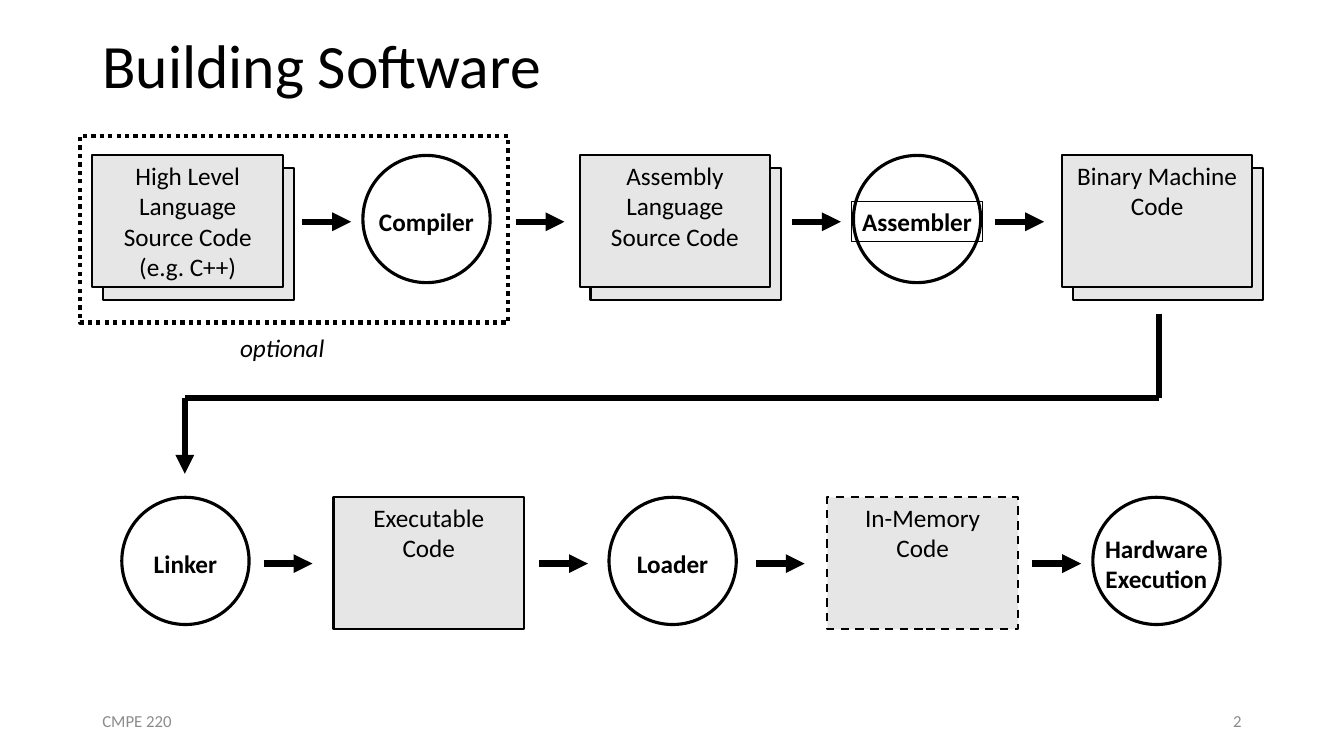
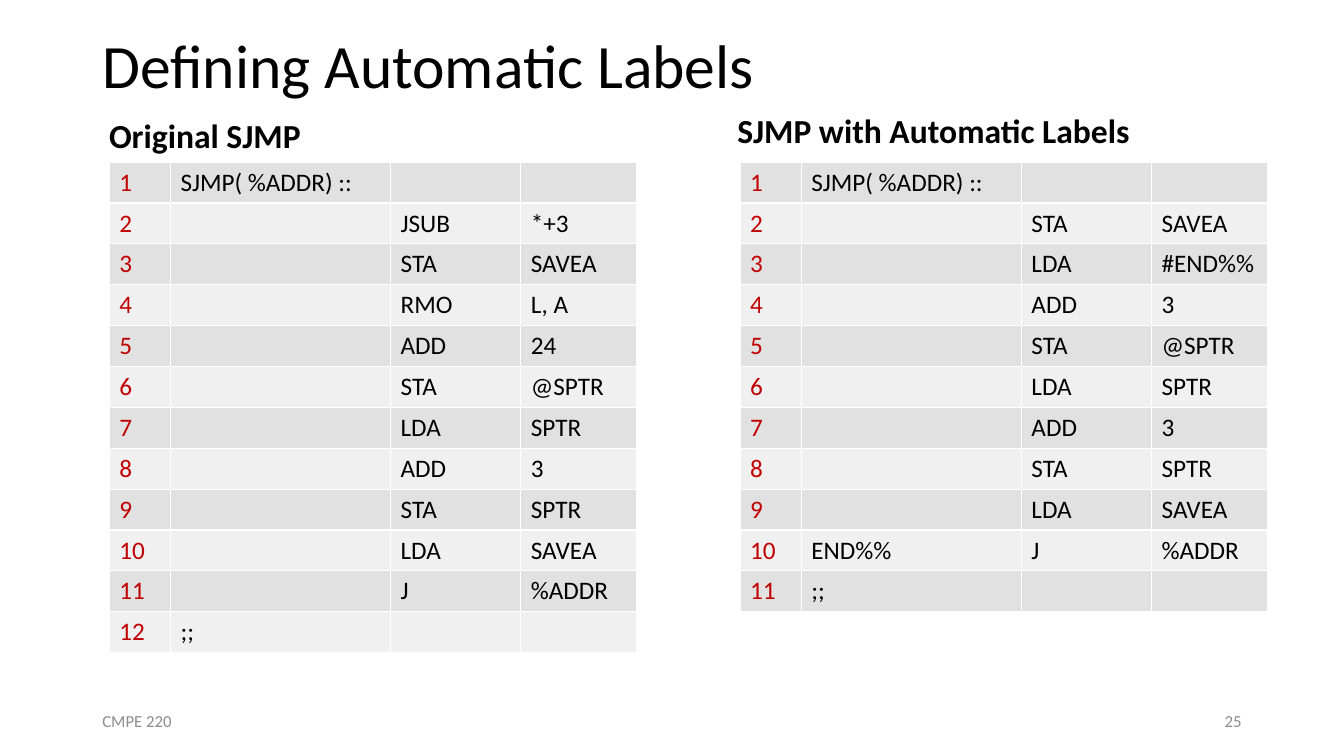
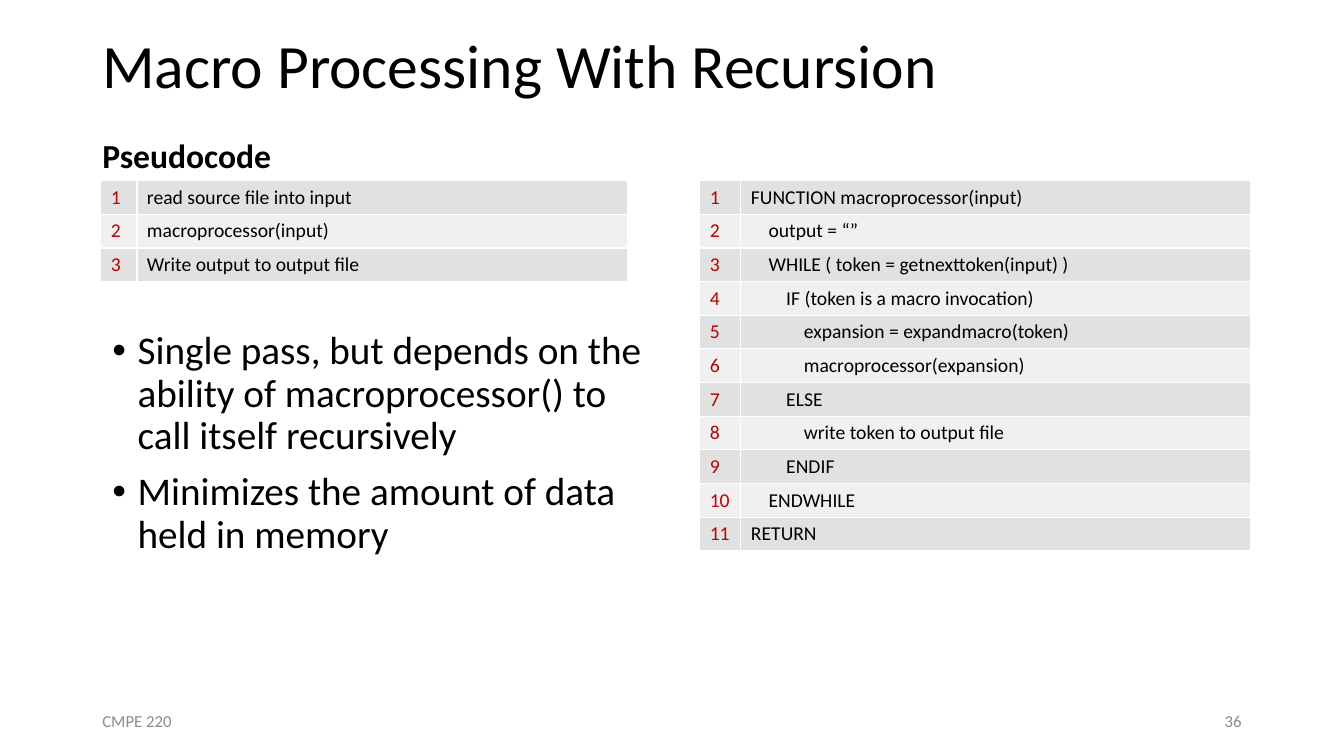
from itertools import repeat

from lxml.etree import SubElement
from pptx import Presentation
from pptx.dml.color import RGBColor
from pptx.enum.dml import MSO_LINE
from pptx.enum.shapes import MSO_CONNECTOR, MSO_SHAPE
from pptx.enum.text import MSO_ANCHOR, PP_ALIGN
from pptx.oxml import parse_xml
from pptx.oxml.ns import nsdecls, qn
from pptx.util import Emu, Inches, Pt

COLUMNS, ROWS = 160, 90
UNIT = Inches(1) // 12
FONT = "Calibri"
BLACK, WHITE, RED = "000000", "FFFFFF", "C00000"
CARD_FILL, FOOTER_GRAY = "E7E6E6", "8C8C8C"
BANDS = ("E1E1E1", "F0F0F0")
CARD_WIDTH, CARD_HEIGHT, CIRCLE = 22.7, 15.7, 15.15
LABEL_WIDTH, ARROW_LENGTH, MIDDLE = 15.6, 5.8, 7.9
CODE_INDENT = 2.1


def grid(*cells):
    return [Emu(round(cell * UNIT)) for cell in cells]


def color(value):
    return RGBColor.from_string(value)


def style(paragraph, size, ink=BLACK, bold=False, italic=False, align=PP_ALIGN.LEFT):
    paragraph.alignment = align
    font = paragraph.font
    font.name, font.size, font.bold, font.italic = FONT, Pt(size), bold, italic
    font.color.rgb = color(ink)


def write(shape, texts, size, wrap=True, anchor=MSO_ANCHOR.TOP, **look):
    frame = shape.text_frame
    frame.word_wrap = wrap
    frame.vertical_anchor = anchor
    for index, text in enumerate(texts):
        paragraph = frame.add_paragraph() if index else frame.paragraphs[0]
        paragraph.text = text
        style(paragraph, size, **look)
    return frame.paragraphs


def add_text(slide, box, texts, size, **look):
    return write(slide.shapes.add_textbox(*grid(*box)), texts, size, **look)


def add_outline(slide, kind, box, width, fill=None, dash=None):
    shape = slide.shapes.add_shape(kind, *grid(*box))
    shape.shadow.inherit = False
    if fill:
        shape.fill.solid()
        shape.fill.fore_color.rgb = color(fill)
    else:
        shape.fill.background()
    shape.line.color.rgb = color(BLACK)
    shape.line.width = Pt(width)
    if dash:
        shape.line.dash_style = dash
    return shape


def add_line(slide, start, end, arrow=True):
    line = slide.shapes.add_connector(MSO_CONNECTOR.STRAIGHT, *grid(*start, *end))
    line.line.color.rgb = color(BLACK)
    line.line.width = Pt(4.5)
    if arrow:
        SubElement(line.line._get_or_add_ln(), qn("a:tailEnd"), type="triangle")
    SubElement(line._element.spPr, qn("a:effectLst"))


def add_card(slide, left, top, texts, stacked=False, dash=None):
    offsets = ((1.3, 1.5), (0, 0)) if stacked else ((0, 0),)
    for right, down in offsets:
        box = (left + right, top + down, CARD_WIDTH, CARD_HEIGHT)
        card = add_outline(slide, MSO_SHAPE.RECTANGLE, box, 1.5, CARD_FILL, dash)
    write(card, texts, 18, align=PP_ALIGN.CENTER)


def add_tool(slide, left, top, name, framed=False):
    add_outline(slide, MSO_SHAPE.OVAL, (left, top, CIRCLE, CIRCLE), 2.25)
    height = 1.2 + 3.6 * len(name.splitlines())
    box = (left + (CIRCLE - LABEL_WIDTH) / 2, top + MIDDLE - height / 2, LABEL_WIDTH, height)
    if framed:
        label = add_outline(slide, MSO_SHAPE.RECTANGLE, box, 0.75)
    else:
        label = slide.shapes.add_textbox(*grid(*box))
    write(label, [name], 18, wrap=False, bold=True, align=PP_ALIGN.CENTER)


def add_pipeline_row(slide, left, top, cards, tools, arrows):
    for column, texts, options in cards:
        add_card(slide, left + column, top, texts, **options)
    for column, name, options in tools:
        add_tool(slide, left + column, top, name, **options)
    for column in arrows:
        start = left + column
        add_line(slide, (start, top + MIDDLE), (start + ARROW_LENGTH, top + MIDDLE))


def add_return_path(slide, left, top, right, bottom, bend):
    add_line(slide, (right, top), (right, bend), arrow=False)
    add_line(slide, (right, bend), (left, bend), arrow=False)
    add_line(slide, (left, bend), (left, bottom))


def border_cell(cell):
    properties = cell._tc.get_or_add_tcPr()
    for index, side in enumerate(("lnL", "lnR", "lnT", "lnB")):
        properties.insert(index, parse_xml(
            f'<a:{side} {nsdecls("a")} w="{Pt(1)}"><a:solidFill>'
            f'<a:srgbClr val="{WHITE}"/></a:solidFill></a:{side}>'))


def add_listing(slide, left, top, widths, row_height, size, rows, depths=repeat(0)):
    box = (left, top, sum(widths), row_height * len(rows))
    table = slide.shapes.add_table(len(rows), len(widths), *grid(*box)).table
    table.first_row = table.horz_banding = False
    for column, width in zip(table.columns, grid(*widths)):
        column.width = width
    for index, (texts, depth) in enumerate(zip(rows, depths)):
        table.rows[index].height = grid(row_height)[0]
        for column, text in enumerate((str(index + 1), *texts)):
            cell = table.cell(index, column)
            cell.fill.solid()
            cell.fill.fore_color.rgb = color(BANDS[index % 2])
            border_cell(cell)
            cell.text = text
            style(cell.text_frame.paragraphs[0], size, BLACK if column else RED)
        table.cell(index, 1).margin_left = grid(1.2 + CODE_INDENT * depth)[0]


def add_heading(slide, left, top, width, text):
    add_text(slide, (left, top, width, 6), [text], 24, wrap=False, bold=True)


def add_bullets(slide, box, texts):
    for paragraph in add_text(slide, box, texts, 28):
        paragraph.line_spacing = 0.9
        paragraph.space_before = Pt(10)
        properties = paragraph._p.get_or_add_pPr()
        properties.set("marL", str(Inches(0.25)))
        properties.set("indent", str(-Inches(0.25)))
        font_defaults = properties.find(qn("a:defRPr"))
        for tag in (f'<a:buFont {nsdecls("a")} typeface="Arial"/>',
                    f'<a:buChar {nsdecls("a")} char="•"/>'):
            font_defaults.addprevious(parse_xml(tag))


def start_slide(presentation, title, number):
    slide = presentation.slides.add_slide(presentation.slide_layouts[6])
    heading = add_text(slide, (11, 0, 138, 16.2), [title], 44, anchor=MSO_ANCHOR.MIDDLE)
    heading[0].line_spacing = 0.9
    for left, text, align in ((11, "CMPE 220", PP_ALIGN.LEFT), (113, number, PP_ALIGN.RIGHT)):
        add_text(slide, (left, 83.4, 36, 4.8), [text], 12, anchor=MSO_ANCHOR.MIDDLE,
                 ink=FOOTER_GRAY, align=align)
    return slide


def build_software_slide(presentation):
    slide = start_slide(presentation, "Building Software", "2")
    stacked = {"stacked": True}
    add_pipeline_row(
        slide, 11, 18.5,
        [(0, ["High Level Language Source Code\n(e.g. C++)"], stacked),
         (58, ["Assembly Language Source Code"], stacked),
         (115.4, ["Binary Machine Code"], stacked)],
        [(32.2, "Compiler", {}), (90.6, "Assembler", {"framed": True})],
        (25, 50.4, 83.3, 107.5))
    add_pipeline_row(
        slide, 14.5, 59.2,
        [(25.2, ["Executable", "Code"], {}),
         (84, ["In-Memory", "Code"], {"dash": MSO_LINE.DASH})],
        [(0, "Linker", {}), (58, "Loader", {}), (115.6, "Hardware\nExecution", {})],
        (16.9, 49.7, 75.5, 108.4))
    add_return_path(slide, 22, 37.4, 138, 56.4, bend=47.4)
    add_outline(slide, MSO_SHAPE.RECTANGLE, (9.5, 16.2, 51, 22.2), 3, dash=MSO_LINE.ROUND_DOT)
    add_text(slide, (27.4, 39, 12.6, 4.8), ["optional"], 18, wrap=False, italic=True)


def build_labels_slide(presentation):
    slide = start_slide(presentation, "Defining Automatic Labels", "25")
    first, last = ("SJMP( %ADDR) ::", "", ""), (";;", "", "")
    shared = [("", "STA", "@SPTR"), ("", "LDA", "SPTR"), ("", "ADD", "3"),
              ("", "STA", "SPTR"), ("", "LDA", "SAVEA")]
    original = [first, ("", "JSUB", "*+3"), ("", "STA", "SAVEA"), ("", "RMO", "L, A"),
                ("", "ADD", "24"), *shared, ("", "J", "%ADDR"), last]
    automatic = [first, ("", "STA", "SAVEA"), ("", "LDA", "#END%%"), ("", "ADD", "3"),
                 *shared, ("END%%", "J", "%ADDR"), last]
    for left, rows in ((13, original), (88.1, automatic)):
        add_listing(slide, left, 19.3, (7.3, 26.2, 15.5, 13.8), 4.87, 18, rows)
    add_heading(slide, 11.8, 13.1, 26.4, "Original SJMP")
    add_heading(slide, 86.6, 12.5, 49.7, "SJMP with Automatic Labels")


def build_recursion_slide(presentation):
    slide = start_slide(presentation, "Macro Processing With Recursion", "36")
    main_steps = ["read source file into input", "macroprocessor(input)",
                  "Write output to output file"]
    function_steps = [
        (0, "FUNCTION macroprocessor(input)"),
        (1, "output = “”"),
        (1, "WHILE ( token = getnexttoken(input) )"),
        (2, "IF (token is a macro invocation)"),
        (3, "expansion = expandmacro(token)"),
        (3, "macroprocessor(expansion)"),
        (2, "ELSE"),
        (3, "write token to output file"),
        (2, "ENDIF"),
        (1, "ENDWHILE"),
        (0, "RETURN")]
    depths, lines = zip(*function_steps)
    add_heading(slide, 11, 15.5, 22.7, "Pseudocode")
    add_listing(slide, 12, 21.5, (4.3, 58.4), 4, 14, [(step,) for step in main_steps])
    add_listing(slide, 83.3, 21.5, (4.9, 60.7), 4, 14, [(line,) for line in lines], depths)
    add_bullets(slide, (12.2, 38.8, 68.3, 28.7), [
        "Single pass, but depends on the ability of macroprocessor() to call itself recursively",
        "Minimizes the amount of data held in memory"])


def main():
    presentation = Presentation()
    presentation.slide_width, presentation.slide_height = grid(COLUMNS, ROWS)
    build_software_slide(presentation)
    build_labels_slide(presentation)
    build_recursion_slide(presentation)
    presentation.save("out.pptx")


if __name__ == "__main__":
    main()
